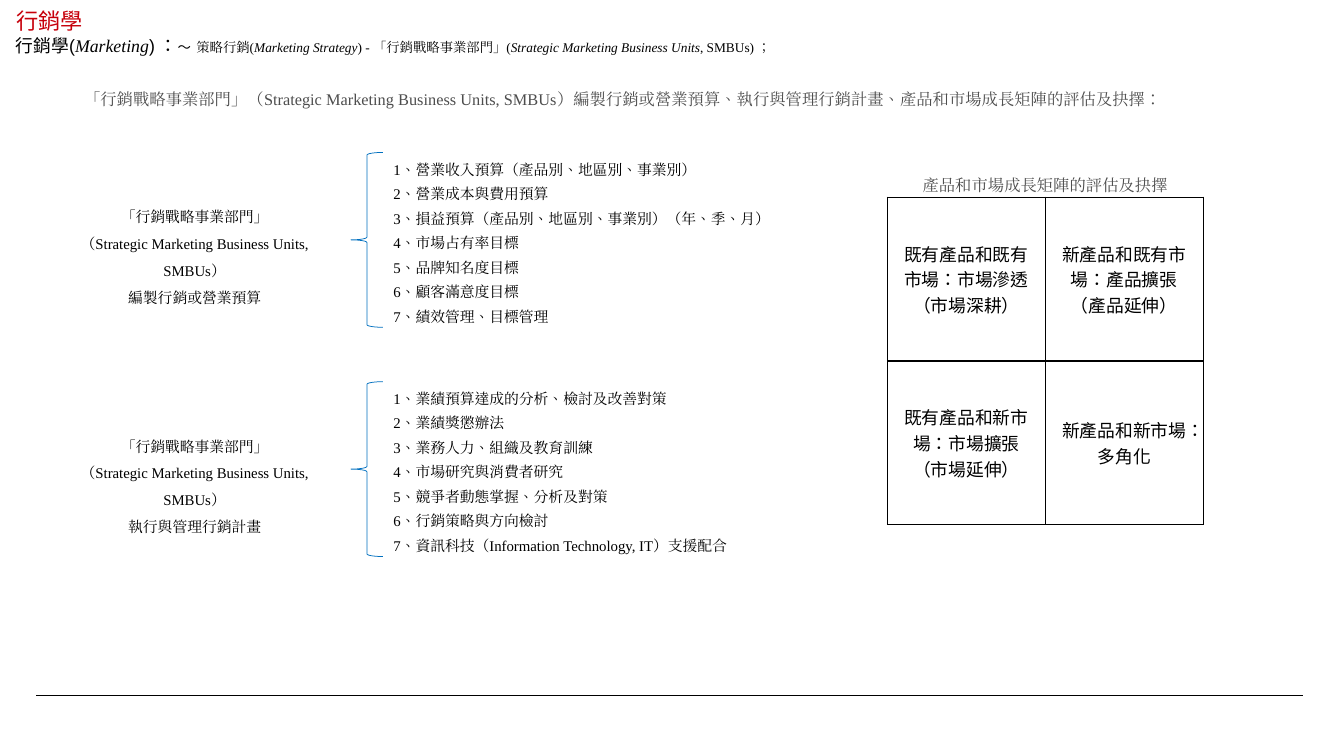
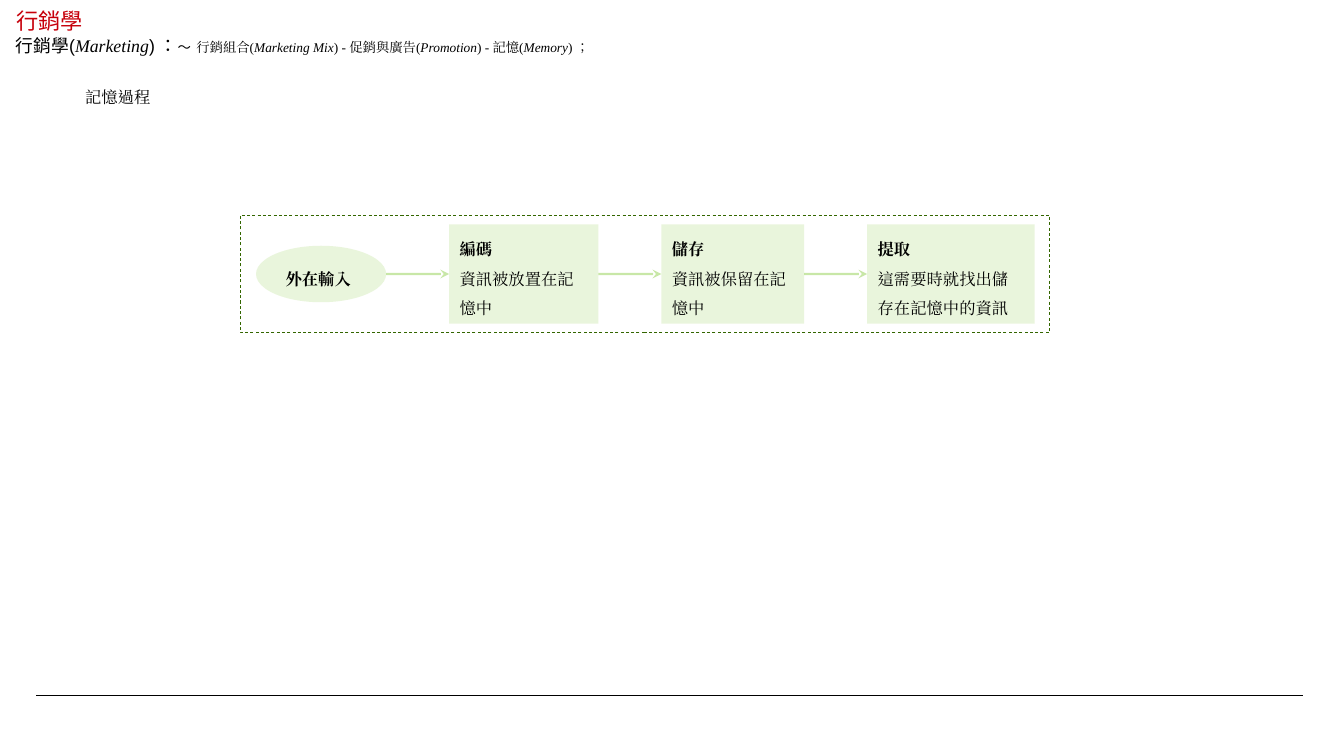
from lxml.etree import SubElement
from pptx import Presentation
from pptx.dml.color import RGBColor
from pptx.enum.dml import MSO_LINE
from pptx.enum.lang import MSO_LANGUAGE_ID
from pptx.enum.shapes import MSO_CONNECTOR, MSO_SHAPE
from pptx.enum.text import MSO_ANCHOR, MSO_AUTO_SIZE, PP_ALIGN
from pptx.oxml.ns import qn
from pptx.util import Inches, Pt

BLACK, GREY, RED, BLUE = "000000", "4D4D4D", "C7000B", "0070C0"
GREEN, DARK_GREEN = "92D050", "336600"
SERIF, SANS, CJK = "Times New Roman", "Arial", "Noto Sans CJK SC"

COURSE = "行銷學"
ITALIC = {"italic": True}
SUBTITLE_START = [
    ("行銷學(", {"size": 12, "font": SANS}),
    ("Marketing", {"size": 12, "italic": True}),
    (") ：", {"size": 12, "font": SANS}),
    ("～", {"font": SANS}),
    (" ", {"size": 13, "font": SANS}),
]
STRATEGY_SUBTITLE = [
    ("策略行銷(", {}), ("Marketing Strategy", ITALIC),
    (") - 「行銷戰略事業部門」(", {}),
    ("Strategic Marketing Business Units", ITALIC), (", SMBUs) ；", {}),
]
MEMORY_SUBTITLE = [
    ("行銷組合(", {}), ("Marketing Mix", ITALIC),
    (") - 促銷與廣告(", {}), ("Promotion", ITALIC),
    (") - 記憶(", {}), ("Memory", ITALIC), (") ；", {}),
]

STRATEGY_HEADING = (
    "「行銷戰略事業部門」（Strategic Marketing Business Units, SMBUs）"
    "編製行銷或營業預算、執行與管理行銷計畫、產品和市場成長矩陣的評估及抉擇："
)
UNIT_NAME = ["「行銷戰略事業部門」", "（Strategic Marketing Business Units, SMBUs）"]
# (top of the list, task of the unit, items)
TASK_GROUPS = [
    (1.37, "編製行銷或營業預算", [
        "營業收入預算（產品別、地區別、事業別）",
        "營業成本與費用預算",
        "損益預算（產品別、地區別、事業別）（年、季、月）",
        "市場占有率目標",
        "品牌知名度目標",
        "顧客滿意度目標",
        "績效管理、目標管理",
    ]),
    (3.52, "執行與管理行銷計畫", [
        "業績預算達成的分析、檢討及改善對策",
        "業績獎懲辦法",
        "業務人力、組織及教育訓練",
        "市場研究與消費者研究",
        "競爭者動態掌握、分析及對策",
        "行銷策略與方向檢討",
        "資訊科技（Information Technology, IT）支援配合",
    ]),
]
ITEM_STEP = 0.23
MATRIX_TITLE = "產品和市場成長矩陣的評估及抉擇"
MATRIX = [
    ["既有產品和既有市場：市場滲透（市場深耕）", "新產品和既有市場：產品擴張（產品延伸）"],
    ["既有產品和新市場：市場擴張（市場延伸）", "新產品和新市場：多角化"],
]

MEMORY_HEADING = "記憶過程"
# (shape, width, height, bold heading, explanation)
MEMORY_STEPS = [
    (MSO_SHAPE.OVAL, 1.22, 0.53, "外在輸入", None),
    (MSO_SHAPE.RECTANGLE, 1.4, 0.93, "編碼", "資訊被放置在記憶中"),
    (MSO_SHAPE.RECTANGLE, 1.34, 0.93, "儲存", "資訊被保留在記憶中"),
    (MSO_SHAPE.RECTANGLE, 1.57, 0.93, "提取", "這需要時就找出儲存在記憶中的資訊"),
]
FLOW_LEFT, FLOW_MIDDLE, FLOW_GAP = 2.4, 2.57, 0.59


def color(value):
    return RGBColor.from_string(value)


def format_run(run, size, font, ink, bold=False, italic=False):
    run.font.size = Pt(size)
    run.font.bold = bold
    run.font.italic = italic
    run.font.color.rgb = color(ink)
    run.font.language_id = MSO_LANGUAGE_ID.TRADITIONAL_CHINESE
    run.font.name = font
    SubElement(run.font._element, qn("a:ea"), typeface=font)


def write_text(frame, paragraphs, size=10, font=SERIF, ink=BLACK,
               align=PP_ALIGN.LEFT, spacing=1.5):
    """Fill a text frame; a paragraph is a string or a list of (text, run format)."""
    for index, content in enumerate(paragraphs):
        paragraph = frame.add_paragraph() if index else frame.paragraphs[0]
        paragraph.alignment = align
        paragraph.line_spacing = spacing
        runs = [(content, {})] if isinstance(content, str) else content
        for text, changes in runs:
            run = paragraph.add_run()
            run.text = text
            format_run(run, **{"size": size, "font": font, "ink": ink, **changes})


def add_text(slide, left, top, width, height, paragraphs, **text_format):
    box = slide.shapes.add_textbox(*map(Inches, (left, top, width, height)))
    box.text_frame.word_wrap = True
    box.text_frame.auto_size = MSO_AUTO_SIZE.SHAPE_TO_FIT_TEXT
    write_text(box.text_frame, paragraphs, **text_format)


def set_alpha(fill_parent, percent):
    srgb = fill_parent.find(".//" + qn("a:srgbClr"))
    SubElement(srgb, qn("a:alpha"), val=str(percent * 1000))


def add_shape(slide, kind, left, top, width, height, line=None):
    shape = slide.shapes.add_shape(kind, *map(Inches, (left, top, width, height)))
    shape.shadow.inherit = False
    shape.fill.background()
    if line:
        shape.line.color.rgb = color(line)
        shape.line.width = Pt(0.5)
    else:
        shape.line.fill.background()
    return shape


def add_line(slide, left, right, y, ink, width):
    line = slide.shapes.add_connector(
        MSO_CONNECTOR.STRAIGHT, Inches(left), Inches(y), Inches(right), Inches(y))
    line.line.color.rgb = color(ink)
    line.line.width = Pt(width)
    SubElement(line.element.spPr, qn("a:effectLst"))
    return line


def add_arrow(slide, left, right, y):
    outline = add_line(slide, left, right, y, GREEN, 1.5).line._get_or_add_ln()
    set_alpha(outline, 50)
    SubElement(outline, qn("a:tailEnd"), type="stealth")


def add_page(presentation, subtitle):
    """Add a slide with the shared title, subtitle and bottom rule."""
    slide = presentation.slides.add_slide(presentation.slide_layouts[5])
    add_line(slide, 0.34, 12.22, 6.52, BLACK, 0.5)
    title = slide.shapes.title
    title.left, title.top, title.width, title.height = map(Inches, (0.05, 0.07, 9.32, 0.24))
    title.text_frame.auto_size = MSO_AUTO_SIZE.NONE
    title.text_frame.vertical_anchor = MSO_ANCHOR.MIDDLE
    write_text(title.text_frame, [COURSE], size=15, font=SANS, ink=RED, spacing=1)
    add_text(slide, 0.05, 0.26, 10.43, 0.32, [SUBTITLE_START + subtitle], size=9, spacing=1)
    return slide


def border_cell(cell):
    properties = cell._tc.get_or_add_tcPr()
    for index, side in enumerate(("lnL", "lnR", "lnT", "lnB")):
        border = properties.makeelement(qn("a:" + side), {"w": str(Pt(1))})
        SubElement(SubElement(border, qn("a:solidFill")), qn("a:srgbClr"), val=BLACK)
        properties.insert(index, border)


def add_matrix(slide, left, top, width, height):
    table = slide.shapes.add_table(
        len(MATRIX), len(MATRIX[0]), *map(Inches, (left, top, width, height))).table
    table.first_row = table.horz_banding = False
    for row, texts in enumerate(MATRIX):
        for column, text in enumerate(texts):
            cell = table.cell(row, column)
            cell.fill.background()
            cell.vertical_anchor = MSO_ANCHOR.MIDDLE
            border_cell(cell)
            write_text(cell.text_frame, [text], size=12, font=CJK,
                       align=PP_ALIGN.CENTER, spacing=1)


def build_strategy_slide(presentation):
    slide = add_page(presentation, STRATEGY_SUBTITLE)
    add_text(slide, 0.69, 0.7, 10.85, 0.34, [STRATEGY_HEADING], size=11, ink=GREY)
    for top, task, items in TASK_GROUPS:
        add_text(slide, 0.36, top + 0.45, 2.93, 0.83, UNIT_NAME + [task],
                 align=PP_ALIGN.CENTER)
        add_shape(slide, MSO_SHAPE.LEFT_BRACE, 3.29, top + 0.06, 0.3, 1.64, line=BLUE)
        for index, item in enumerate(items):
            add_text(slide, 3.59, top + index * ITEM_STEP, 3.82, 0.32,
                     [f"{index + 1}、{item}"])
    add_text(slide, 8.32, 1.5, 2.96, 0.34, [MATRIX_TITLE], size=11, ink=GREY,
             align=PP_ALIGN.CENTER)
    add_matrix(slide, 8.32, 1.85, 2.96, 3.07)


def build_memory_slide(presentation):
    slide = add_page(presentation, MEMORY_SUBTITLE)
    add_text(slide, 0.7, 0.68, 6.55, 0.34, [MEMORY_HEADING], size=11)
    frame = add_shape(slide, MSO_SHAPE.RECTANGLE, 2.25, 2.02, 7.59, 1.1, line=DARK_GREEN)
    frame.line.dash_style = MSO_LINE.DASH
    left = FLOW_LEFT
    for index, (kind, width, height, heading, explanation) in enumerate(MEMORY_STEPS):
        if index:
            add_arrow(slide, left - FLOW_GAP, left, FLOW_MIDDLE)
        step = add_shape(slide, kind, left, FLOW_MIDDLE - height / 2, width, height)
        step.fill.solid()
        step.fill.fore_color.rgb = color(GREEN)
        set_alpha(step.element.spPr, 20)
        step.text_frame.word_wrap = True
        step.text_frame.vertical_anchor = MSO_ANCHOR.TOP
        paragraphs = [[(heading, {"bold": True})]] + ([explanation] if explanation else [])
        write_text(step.text_frame, paragraphs, size=11)
        left += width + FLOW_GAP


def main():
    presentation = Presentation()
    presentation.slide_width, presentation.slide_height = Inches(12.6), Inches(7.09)
    build_strategy_slide(presentation)
    build_memory_slide(presentation)
    presentation.save("out.pptx")


if __name__ == "__main__":
    main()
